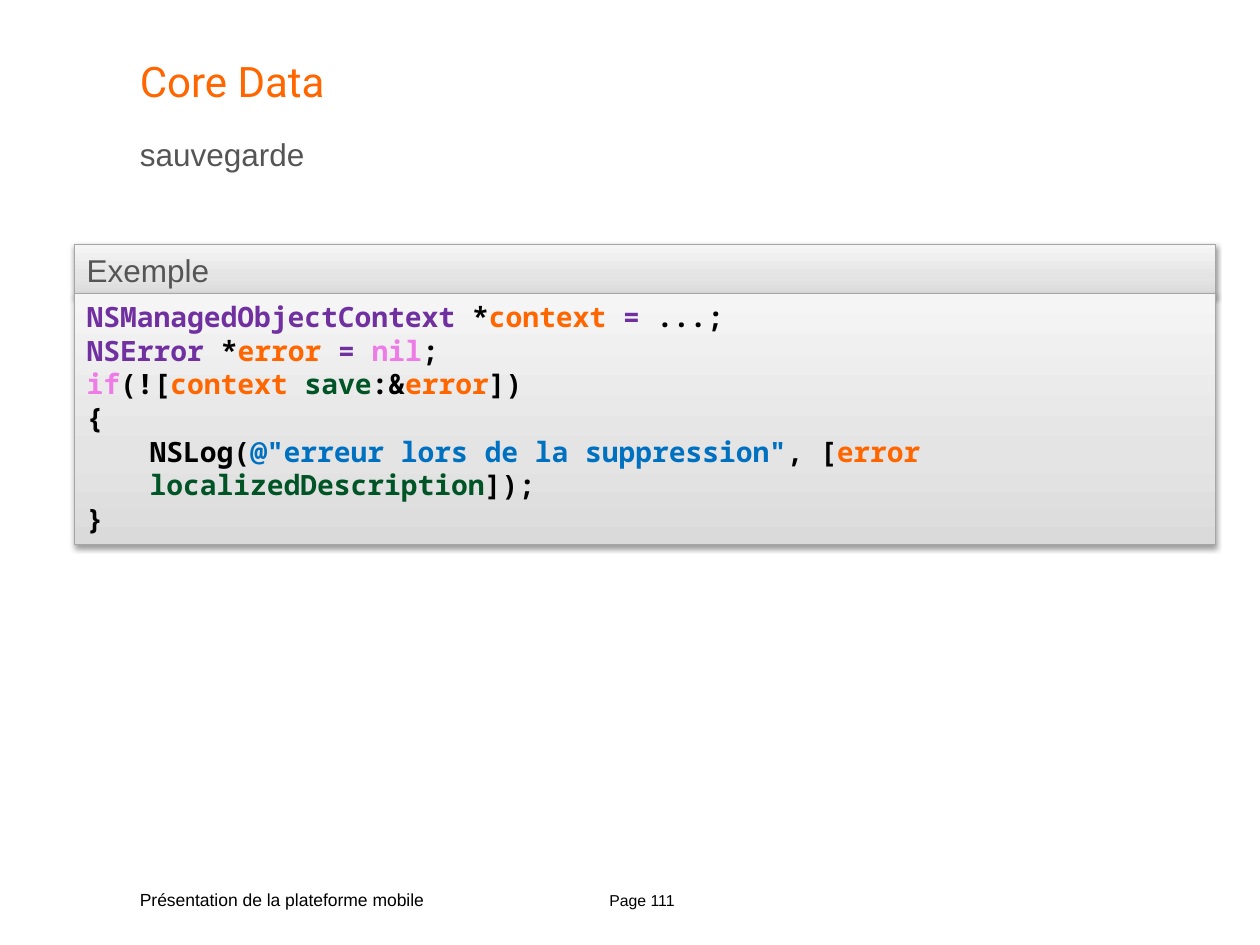
from lxml import etree
from pptx import Presentation
from pptx.dml.color import RGBColor
from pptx.enum.shapes import MSO_SHAPE
from pptx.enum.text import MSO_ANCHOR, PP_ALIGN
from pptx.oxml import parse_xml
from pptx.oxml.ns import qn
from pptx.util import Inches, Pt

RECTANGLE = MSO_SHAPE.RECTANGLE
TOP, MIDDLE = MSO_ANCHOR.TOP, MSO_ANCHOR.MIDDLE
LEFT, CENTER = PP_ALIGN.LEFT, PP_ALIGN.CENTER

BLACK = RGBColor(0x00, 0x00, 0x00)
GREY = RGBColor(0x55, 0x55, 0x55)
BORDER = RGBColor(0xA6, 0xA6, 0xA6)
ORANGE = RGBColor(0xFF, 0x66, 0x00)
PURPLE = RGBColor(0x70, 0x30, 0xA0)
PINK = RGBColor(0xEE, 0x7C, 0xE6)
GREEN = RGBColor(0x00, 0x54, 0x26)
BLUE = RGBColor(0x00, 0x70, 0xC0)

DRAWING_NS = 'xmlns:a="http://schemas.openxmlformats.org/drawingml/2006/main"'
PANEL_GRADIENT = f"""<a:gradFill {DRAWING_NS} rotWithShape="1"><a:gsLst>
<a:gs pos="0"><a:srgbClr val="DADADA"/></a:gs>
<a:gs pos="35000"><a:srgbClr val="E4E4E4"/></a:gs>
<a:gs pos="100000"><a:srgbClr val="F5F5F5"/></a:gs>
</a:gsLst><a:lin ang="16200000" scaled="1"/></a:gradFill>"""
PANEL_SHADOW = f"""<a:outerShdw {DRAWING_NS} blurRad="40000" dist="20000"
dir="5400000" rotWithShape="0"><a:srgbClr val="000000"><a:alpha val="38000"/>
</a:srgbClr></a:outerShdw>"""


def add_text(paragraph, text, size, color=BLACK, font="Arial", bold=False, align=LEFT):
    paragraph.alignment = align
    run = paragraph.add_run()
    run.text = text
    run.font.size = Pt(size)
    run.font.name = font
    run.font.bold = bold
    run.font.color.rgb = color


def add_panel(group, top, height):
    """Add a grey gradient rectangle with a soft shadow; return its text frame."""
    panel = group.shapes.add_shape(
        RECTANGLE, Inches(0.59), Inches(top), Inches(9.06), Inches(height))
    panel.line.color.rgb = BORDER
    panel.line.width = Pt(0.75)
    panel.shadow.inherit = False
    properties = panel.element.spPr
    properties.find(qn("a:ln")).addprevious(parse_xml(PANEL_GRADIENT))
    properties.find(qn("a:effectLst")).append(parse_xml(PANEL_SHADOW))
    panel.text_frame.word_wrap = True
    panel.text_frame.vertical_anchor = TOP
    return panel.text_frame


prs = Presentation()
prs.slide_width, prs.slide_height = Inches(10), Inches(7.5)
slide = prs.slides.add_slide(prs.slide_layouts[1])

# Title and subtitle
title, subtitle = slide.placeholders
for heading, top, height, anchor in ((title, 0.44, 0.54, TOP), (subtitle, 1.06, 0.33, MIDDLE)):
    heading.left, heading.top = Inches(1.11), Inches(top)
    heading.width, heading.height = Inches(8.54), Inches(height)
    frame = heading.text_frame
    frame.margin_left = frame.margin_right = frame.margin_top = frame.margin_bottom = 0
    frame.vertical_anchor = anchor
add_text(title.text_frame.paragraphs[0], "Core Data", 24, ORANGE, font="Roboto")
subtitle_line = subtitle.text_frame.paragraphs[0]
subtitle_line.space_before = Pt(0)
add_text(subtitle_line, "sauvegarde", 18, GREY)
subtitle_format = subtitle_line._p.get_or_add_pPr()
subtitle_format.set("marL", "0")
subtitle_format.set("indent", "0")
etree.SubElement(subtitle_format, qn("a:buNone"))

# Code example
CODE_LINES = [
    (0, [("NSManagedObjectContext ", PURPLE), ("*", BLACK), ("context ", ORANGE),
         ("= ", PURPLE), ("...;", BLACK)]),
    (0, [("NSError ", PURPLE), ("*", BLACK), ("error ", ORANGE), ("= ", PURPLE),
         ("nil", PINK), (";", BLACK)]),
    (0, [("if", PINK), ("(![", BLACK), ("context", ORANGE), (" save", GREEN),
         (":&", BLACK), ("error", ORANGE), ("])", BLACK)]),
    (0, [("{", BLACK)]),
    (0.5, [("NSLog(", BLACK), ('@"erreur lors de la suppression"', BLUE), (", [", BLACK),
           ("error ", ORANGE), ("localizedDescription", GREEN), ("]);", BLACK)]),
    (0, [("}", BLACK)]),
]
example = slide.shapes.add_group_shape()
add_text(add_panel(example, 1.94, 0.4).paragraphs[0], "Exemple", 18, GREY)
code = add_panel(example, 2.33, 1.99)
for number, (indent, tokens) in enumerate(CODE_LINES):
    line = code.paragraphs[0] if number == 0 else code.add_paragraph()
    line._p.get_or_add_pPr().set("marL", str(Inches(indent)))
    for token, color in tokens:
        add_text(line, token, 16, color, font="Noto Sans Mono", bold=True)

# Footer
for text, left, top, width, size, align, margin in (
        ("Présentation de la plateforme mobile", 1.11, 7.01, 2.72, 10, LEFT, 0),
        ("Page 111", 4.69, 7.02, 0.81, 9, CENTER, 0.1)):
    footer = slide.shapes.add_textbox(Inches(left), Inches(top), Inches(width), Inches(0.24))
    footer.text_frame.word_wrap = True
    footer.text_frame.margin_left = footer.text_frame.margin_right = Inches(margin)
    add_text(footer.text_frame.paragraphs[0], text, size, align=align)

prs.save("out.pptx")
